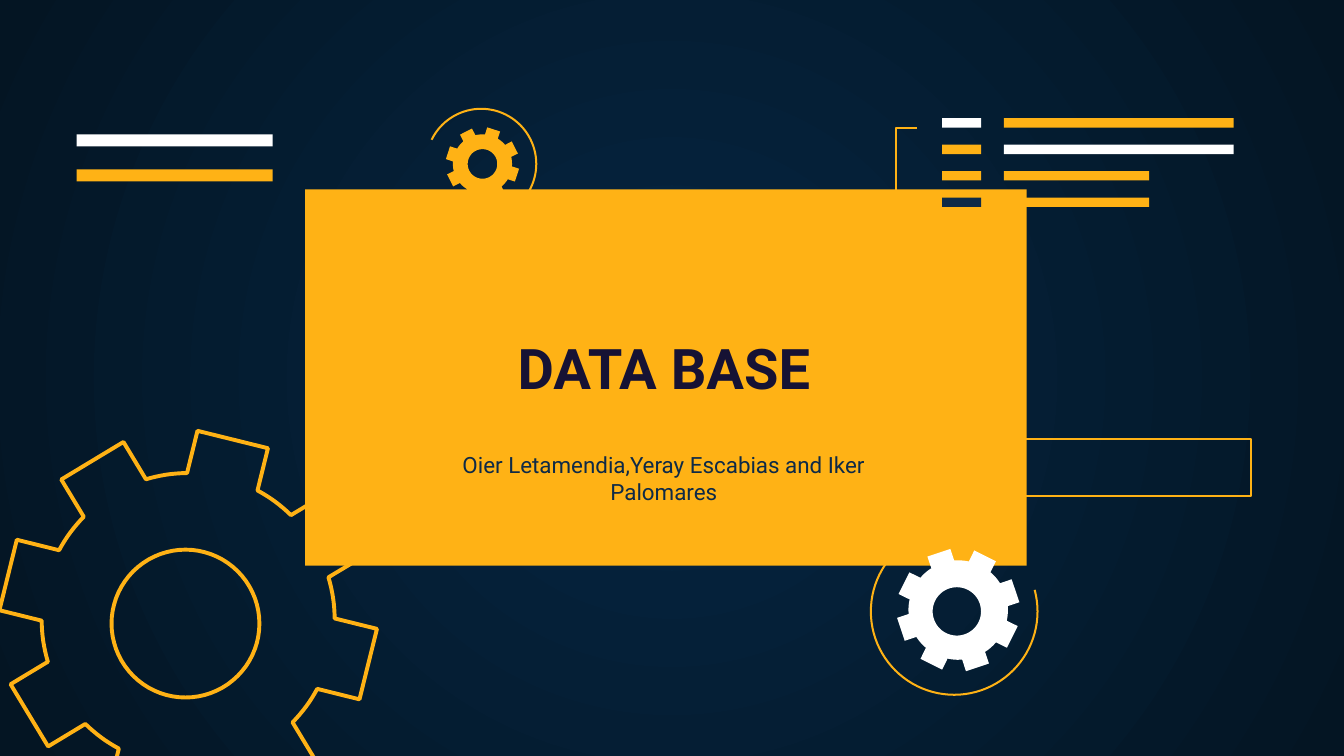
from dataclasses import dataclass
from math import asin, cos, pi, radians, sin
from typing import NamedTuple, Optional

from lxml.etree import SubElement
from pptx import Presentation
from pptx.dml.color import RGBColor
from pptx.enum.shapes import MSO_SHAPE as ShapeKind
from pptx.enum.text import MSO_ANCHOR as Anchor, MSO_AUTO_SIZE as AutoSize, PP_ALIGN as Align
from pptx.oxml.ns import qn
from pptx.util import Inches, Pt


@dataclass(frozen=True)
class Theme:
    amber: str = "FFB215"
    white: str = "FFFFFF"
    navy: str = "0E2A47"
    ink: str = "161234"
    glow: str = "052643"
    edge: str = "041523"
    font: str = "Roboto"
    title_size: float = 30
    names_size: float = 12
    thin: float = 1.09
    thick: float = 2.1


class Point(NamedTuple):
    x: float
    y: float


class Box(NamedTuple):
    left: float
    top: float
    width: float
    height: float


class Style(NamedTuple):
    fill: Optional[str] = None
    line: Optional[str] = None
    weight: float = 0


class Bar(NamedTuple):
    box: Box
    color: str


class Gear(NamedTuple):
    center: Point
    tip: float
    root: float
    half_tooth: float
    turn: float
    hole_center: Point
    hole: float
    style: Style


class Ring(NamedTuple):
    center: Point
    radius: float
    start: float
    end: float


THEME = Theme()
THIN_LINE = Style(line=THEME.amber, weight=THEME.thin)
TEETH = 8
ARC_STEPS = 8
HOLE_STEPS = 72

GEARS = [
    Gear(Point(1.4, 4.61), 1.38, 1.09, 0.27, 13.9, Point(1.38, 4.64), 0.55,
         Style(line=THEME.amber, weight=THEME.thick)),
    Gear(Point(7.13, 4.54), 0.45, 0.37, 0.09, -18.6, Point(7.12, 4.55), 0.18,
         Style(fill=THEME.white)),
    Gear(Point(3.59, 1.22), 0.27, 0.22, 0.05, 18, Point(3.59, 1.22), 0.11,
         Style(fill=THEME.amber)),
]
RINGS = [
    Ring(Point(3.58, 1.22), 0.41, 206, 96),
    Ring(Point(7.1, 4.55), 0.62, 345, 234),
]
CODE_ROWS = [
    (THEME.white, THEME.amber, 1.71),
    (THEME.amber, THEME.white, 1.71),
    (THEME.amber, THEME.amber, 1.08),
    (THEME.navy, THEME.amber, 1.08),
]
HEADER_BARS = [
    Bar(Box(0.57, 1, 1.46, 0.09), THEME.white),
    Bar(Box(0.57, 1.26, 1.46, 0.09), THEME.amber),
]


def code_bars() -> list[Bar]:
    bars = []
    for row, (tag_color, line_color, width) in enumerate(CODE_ROWS):
        top = 0.88 + row * 0.59 / 3
        bars.append(Bar(Box(7.01, top, 0.29, 0.07), tag_color))
        bars.append(Bar(Box(7.47, top, width, 0.07), line_color))
    return bars


def apply_style(shape, style: Style) -> None:
    shape.shadow.inherit = False
    if style.fill:
        shape.fill.solid()
        shape.fill.fore_color.rgb = RGBColor.from_string(style.fill)
    else:
        shape.fill.background()
    if style.line:
        shape.line.color.rgb = RGBColor.from_string(style.line)
        shape.line.width = Pt(style.weight)
    else:
        shape.line.fill.background()


def draw_preset(slide, kind: ShapeKind, box: Box, style: Style):
    shape = slide.shapes.add_shape(kind, *map(Inches, box))
    apply_style(shape, style)
    return shape


def draw_outline(slide, contours: list[list[Point]], style: Style, close: bool = True) -> None:
    outlines = [[(Inches(x), Inches(y)) for x, y in contour] for contour in contours]
    builder = slide.shapes.build_freeform(*outlines[0][0])
    builder.add_line_segments(outlines[0][1:], close=close)
    for outline in outlines[1:]:
        builder.move_to(*outline[0])
        builder.add_line_segments(outline[1:], close=close)
    apply_style(builder.convert_to_shape(), style)


def polar(center: Point, radius: float, angle: float) -> Point:
    return Point(center.x + radius * cos(angle), center.y + radius * sin(angle))


def draw_gear(slide, gear: Gear) -> None:
    step = 2 * pi / TEETH
    half_base = asin(gear.half_tooth / gear.root)
    tip_radius = (gear.tip ** 2 + gear.half_tooth ** 2) ** 0.5
    half_tip = asin(gear.half_tooth / tip_radius)
    rim = []
    for tooth in range(TEETH):
        angle = radians(gear.turn) + tooth * step
        rim += [polar(gear.center, tip_radius, angle + side * half_tip) for side in (-1, 1)]
        rim += [polar(gear.center, gear.root,
                      angle + half_base + (step - 2 * half_base) * i / ARC_STEPS)
                for i in range(ARC_STEPS + 1)]
    hole = [polar(gear.hole_center, gear.hole, -2 * pi * i / HOLE_STEPS)
            for i in range(HOLE_STEPS)]
    draw_outline(slide, [rim, hole], gear.style)


def draw_ring(slide, ring: Ring) -> None:
    x, y = ring.center
    box = Box(x - ring.radius, y - ring.radius, 2 * ring.radius, 2 * ring.radius)
    arc = draw_preset(slide, ShapeKind.ARC, box, THIN_LINE)
    for index, angle in enumerate((ring.start, ring.end)):
        arc.adjustments[index] = angle * 0.6


def write_text(shape, text: str, *, size: float, color: str, bold: bool, anchor: Anchor) -> None:
    frame = shape.text_frame
    frame.word_wrap = True
    frame.auto_size = AutoSize.NONE
    frame.vertical_anchor = anchor
    frame.margin_left = frame.margin_right = Inches(0.1)
    frame.margin_top = frame.margin_bottom = Inches(0.1)
    frame.text = text
    paragraph = frame.paragraphs[0]
    paragraph.alignment = Align.CENTER
    font = paragraph.runs[0].font
    font.name, font.size, font.bold = THEME.font, Pt(size), bold
    font.color.rgb = RGBColor.from_string(color)


def paint_background(slide) -> None:
    fill = slide.background.fill
    fill.gradient()
    for stop, color in zip(fill.gradient_stops, (THEME.glow, THEME.edge)):
        stop.color.rgb = RGBColor.from_string(color)
    gradient = next(slide.element.iter(qn("a:gradFill")))
    gradient.remove(gradient.find(qn("a:lin")))
    radial = SubElement(gradient, qn("a:path"), {"path": "circle"})
    SubElement(radial, qn("a:fillToRect"), dict.fromkeys("ltrb", "50000"))


def main() -> None:
    presentation = Presentation()
    presentation.slide_width = Inches(10)
    presentation.slide_height = Inches(10) * 9 // 16
    slide = presentation.slides.add_slide(presentation.slide_layouts[5])
    paint_background(slide)
    draw_preset(slide, ShapeKind.RECTANGLE, Box(2.27, 1.41, 5.37, 2.8), Style(fill=THEME.amber))
    for ring in RINGS:
        draw_ring(slide, ring)
    for gear in GEARS:
        draw_gear(slide, gear)
    for bar in code_bars() + HEADER_BARS:
        draw_preset(slide, ShapeKind.RECTANGLE, bar.box, Style(fill=bar.color))
    bracket = [Point(6.83, 1.56), Point(6.67, 1.56), Point(6.67, 0.95), Point(6.82, 0.95)]
    draw_outline(slide, [bracket], THIN_LINE, close=False)
    draw_preset(slide, ShapeKind.RECTANGLE, Box(7.2, 3.27, 2.11, 0.42), THIN_LINE)

    names = slide.shapes.add_textbox(*map(Inches, Box(3.01, 1.74, 3.86, 2.12)))
    write_text(names, "Oier Letamendia,Yeray Escabias and Iker Palomares",
               size=THEME.names_size, color=THEME.navy, bold=False, anchor=Anchor.BOTTOM)
    title = slide.shapes.title
    title.left, title.top, title.width, title.height = map(Inches, Box(3.05, 1.96, 3.78, 1.55))
    write_text(title, "DATA BASE",
               size=THEME.title_size, color=THEME.ink, bold=True, anchor=Anchor.MIDDLE)
    title.element.getparent().append(title.element)
    presentation.save("out.pptx")


if __name__ == "__main__":
    main()
